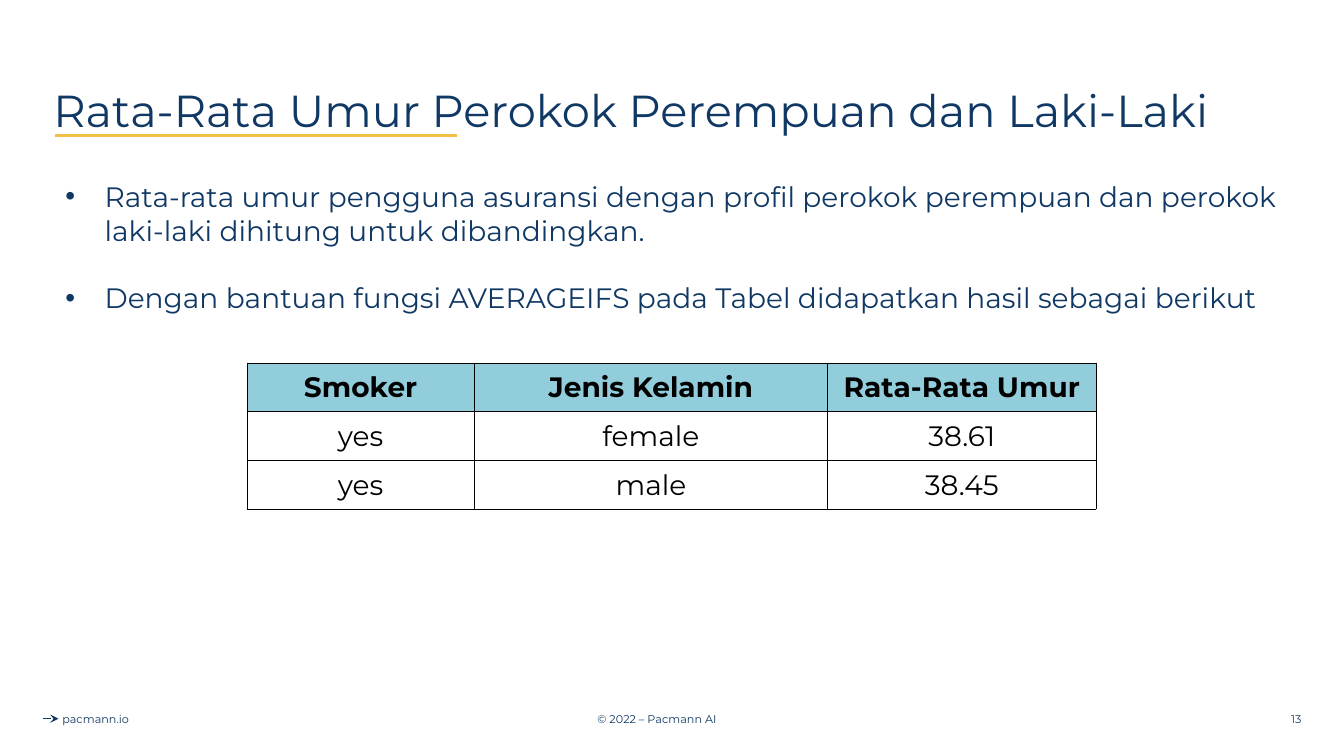
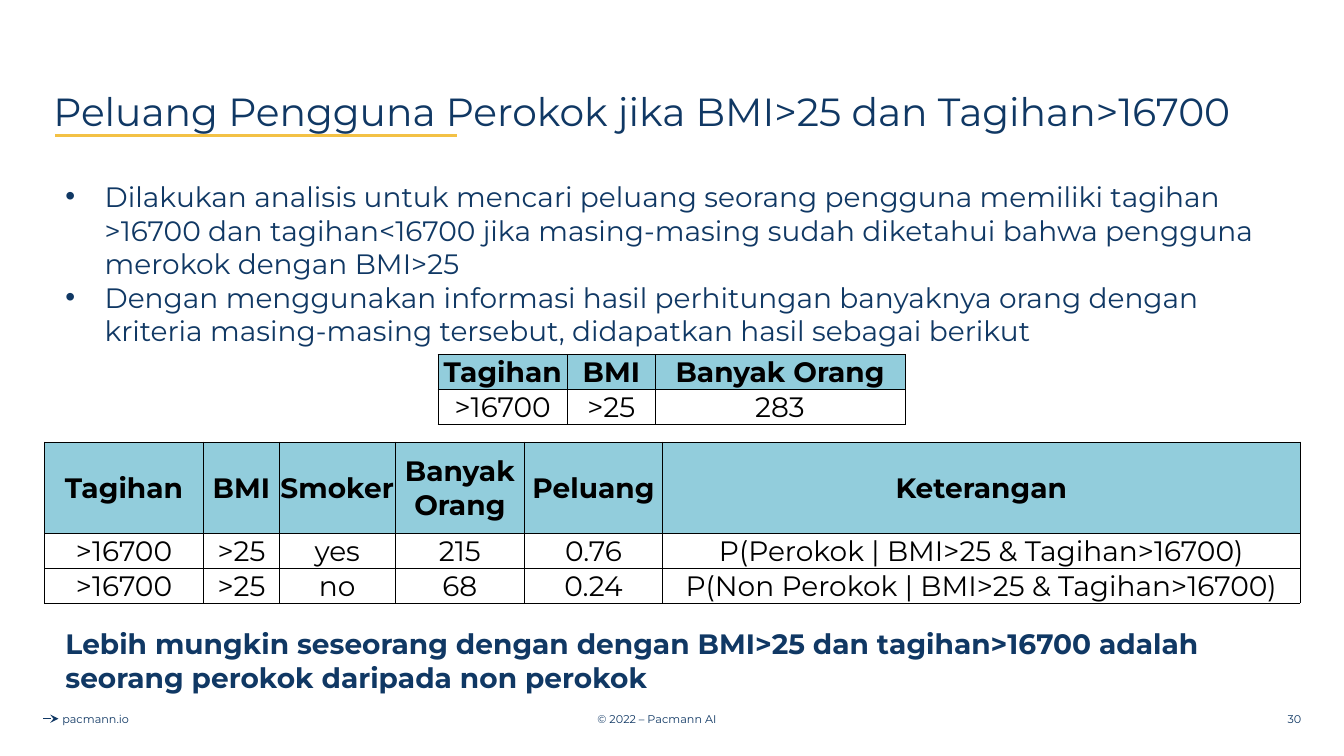
from dataclasses import dataclass

from lxml.etree import SubElement
from pptx import Presentation
from pptx.dml.color import RGBColor
from pptx.enum.shapes import MSO_CONNECTOR as Connector
from pptx.enum.text import MSO_ANCHOR as Anchor, MSO_AUTO_SIZE as AutoSize, PP_ALIGN as Align
from pptx.oxml import parse_xml
from pptx.oxml.ns import nsdecls, qn
from pptx.slide import Slide
from pptx.text.text import TextFrame
from pptx.util import Pt

# Shared style
NAVY = RGBColor(0x10, 0x38, 0x64)
GOLD = RGBColor(0xF3, 0xC1, 0x45)
TEAL = RGBColor(0x92, 0xCD, 0xDC)
BLACK = RGBColor(0x00, 0x00, 0x00)
FONT = "Montserrat"
BODY_SIZE = 20
FOOTER_SIZE = 8
LEFT, WIDTH = 31.7, 897
BODY_TOP = 124.6
CELL_MARGIN = 0.72
TITLE_ONLY = 5


@dataclass(frozen=True)
class Box:
    left: float
    top: float
    width: float
    height: float

    def lengths(self) -> tuple[Pt, Pt, Pt, Pt]:
        return Pt(self.left), Pt(self.top), Pt(self.width), Pt(self.height)


@dataclass(frozen=True)
class Grid:
    left: float
    top: float
    columns: tuple[float, ...]
    row_heights: tuple[float, ...]
    rows: tuple[tuple[str, ...], ...]


@dataclass(frozen=True)
class Page:
    number: int
    title: str
    title_size: int
    bullets: tuple[str, ...]
    bullet_gap: float
    body_height: float
    grids: tuple[Grid, ...]
    conclusion: str = ""


TITLE_BOX = Box(31, 28.8, 898, 104.4)
CONCLUSION_BOX = Box(LEFT, 444.2, WIDTH, 55.4)
SITE_BOX = Box(21.4, 499, 94, 28.8)
COPYRIGHT_BOX = Box(307.4, 499, 324, 28.8)
NUMBER_BOX = Box(720.7, 499, 216, 28.8)

PAGES = (
    Page(
        number=13,
        title="Rata-Rata Umur Perokok Perempuan dan Laki-Laki",
        title_size=32,
        bullets=(
            "Rata-rata umur pengguna asuransi dengan profil perokok perempuan dan perokok "
            "laki-laki dihitung untuk dibandingkan.",
            "Dengan bantuan fungsi AVERAGEIFS pada Tabel didapatkan hasil sebagai berikut",
        ),
        bullet_gap=24.4,
        body_height=104.4,
        grids=(
            Grid(176.6, 259.2, (162, 252.7, 191.5), (34.8,) * 3, (
                ("Smoker", "Jenis Kelamin", "Rata-Rata Umur"),
                ("yes", "female", "38.61"),
                ("yes", "male", "38.45"),
            )),
        ),
    ),
    Page(
        number=30,
        title="Peluang Pengguna Perokok jika BMI>25 dan Tagihan>16700",
        title_size=28,
        bullets=(
            "Dilakukan analisis untuk mencari peluang seorang pengguna memiliki tagihan "
            ">16700 dan tagihan<16700 jika masing-masing sudah diketahui bahwa pengguna "
            "merokok dengan BMI>25",
            "Dengan menggunakan informasi hasil perhitungan banyaknya orang dengan "
            "kriteria masing-masing tersebut, didapatkan hasil sebagai berikut",
        ),
        bullet_gap=0,
        body_height=128.2,
        grids=(
            Grid(312.8, 253.2, (92.6, 62.6, 178.4), (25,) * 2, (
                ("Tagihan", "BMI", "Banyak Orang"),
                (">16700", ">25", "283"),
            )),
            Grid(LEFT, 315.7, (113.8, 54, 82.8, 92.4, 98.6, 455.4), (65.2, 25, 25), (
                ("Tagihan", "BMI", "Smoker", "Banyak Orang", "Peluang", "Keterangan"),
                (">16700", ">25", "yes", "215", "0.76",
                 "P(Perokok | BMI>25 & Tagihan>16700)"),
                (">16700", ">25", "no", "68", "0.24",
                 "P(Non Perokok | BMI>25 & Tagihan>16700)"),
            )),
        ),
        conclusion="Lebih mungkin seseorang dengan dengan BMI>25 dan tagihan>16700 adalah "
                   "seorang perokok daripada non perokok",
    ),
)


def style_runs(frame: TextFrame, size: float, color: RGBColor = NAVY, bold: bool = False) -> None:
    for paragraph in frame.paragraphs:
        for run in paragraph.runs:
            run.font.name = FONT
            run.font.size = Pt(size)
            run.font.bold = bold
            run.font.color.rgb = color


def add_text(slide: Slide, box: Box, text: str) -> TextFrame:
    frame = slide.shapes.add_textbox(*box.lengths()).text_frame
    frame.word_wrap = True
    frame.text = text
    return frame


def add_rule(slide: Slide, start: float, end: float, y: float, color: RGBColor,
             weight: float, arrow: bool = False) -> None:
    rule = slide.shapes.add_connector(Connector.STRAIGHT, Pt(start), Pt(y), Pt(end), Pt(y))
    rule.line.color.rgb = color
    rule.line.width = Pt(weight)
    properties = rule._element.spPr
    if arrow:
        SubElement(properties.find(qn("a:ln")), qn("a:tailEnd"), type="stealth")
    SubElement(properties, qn("a:effectLst"))


def add_footer(slide: Slide, number: int) -> None:
    add_rule(slide, 31, 41.8, 513.4, NAVY, 0.75, arrow=True)
    for box, text, align in (
        (COPYRIGHT_BOX, "© 2022 – Pacmann AI", Align.CENTER),
        (SITE_BOX, "pacmann.io", Align.CENTER),
        (NUMBER_BOX, str(number), Align.RIGHT),
    ):
        frame = add_text(slide, box, text)
        frame.vertical_anchor = Anchor.MIDDLE
        frame.paragraphs[0].alignment = align
        style_runs(frame, FOOTER_SIZE)


def set_title(slide: Slide, text: str, size: int) -> None:
    title = slide.shapes.title
    title.left, title.top, title.width, title.height = TITLE_BOX.lengths()
    frame = title.text_frame
    frame.text = text
    frame.word_wrap = True
    frame.auto_size = AutoSize.NONE
    frame.vertical_anchor = Anchor.MIDDLE
    frame.paragraphs[0].alignment = Align.LEFT
    frame.paragraphs[0].line_spacing = 0.9
    style_runs(frame, size)


def add_bullets(slide: Slide, page: Page) -> None:
    box = Box(LEFT, BODY_TOP, WIDTH, page.body_height)
    frame = add_text(slide, box, "\n".join(page.bullets))
    frame.auto_size = AutoSize.SHAPE_TO_FIT_TEXT
    for index, paragraph in enumerate(frame.paragraphs):
        properties = paragraph._p.get_or_add_pPr()
        properties.set("marL", str(Pt(36)))
        properties.set("indent", str(Pt(-28)))
        color = SubElement(properties, qn("a:buClr"))
        SubElement(color, qn("a:srgbClr"), val=str(NAVY))
        SubElement(properties, qn("a:buFont"), typeface="Arial")
        SubElement(properties, qn("a:buChar"), char="•")
        if index and page.bullet_gap:
            paragraph.space_before = Pt(page.bullet_gap)
    style_runs(frame, BODY_SIZE)


def add_conclusion(slide: Slide, text: str) -> None:
    frame = add_text(slide, CONCLUSION_BOX, text)
    frame.auto_size = AutoSize.SHAPE_TO_FIT_TEXT
    frame.paragraphs[0]._p.get_or_add_pPr().set("marL", str(Pt(8)))
    style_runs(frame, BODY_SIZE, bold=True)


def add_grid(slide: Slide, grid: Grid) -> None:
    box = Box(grid.left, grid.top, sum(grid.columns), sum(grid.row_heights))
    table = slide.shapes.add_table(len(grid.rows), len(grid.columns), *box.lengths()).table
    table.horz_banding = False
    for column, width in zip(table.columns, grid.columns):
        column.width = Pt(width)
    for row, height in zip(table.rows, grid.row_heights):
        row.height = Pt(height)
    for r, texts in enumerate(grid.rows):
        for c, text in enumerate(texts):
            cell = table.cell(r, c)
            is_header = r == 0
            cell.text_frame.text = text
            cell.text_frame.paragraphs[0].alignment = Align.CENTER
            style_runs(cell.text_frame, BODY_SIZE, BLACK, bold=is_header)
            cell.vertical_anchor = Anchor.MIDDLE
            cell.margin_left = cell.margin_right = cell.margin_top = Pt(CELL_MARGIN)
            cell.margin_bottom = 0
            if is_header:
                cell.fill.solid()
                cell.fill.fore_color.rgb = TEAL
            else:
                cell.fill.background()
            # Borders come before the fill in the cell properties
            properties = cell._tc.get_or_add_tcPr()
            for position, side in enumerate("LRTB"):
                properties.insert(position, parse_xml(
                    f'<a:ln{side} {nsdecls("a")} w="{Pt(0.5)}"><a:solidFill>'
                    f'<a:srgbClr val="{BLACK}"/></a:solidFill></a:ln{side}>'))


def main() -> None:
    deck = Presentation()
    deck.slide_width, deck.slide_height = Pt(960), Pt(540)
    for page in PAGES:
        slide = deck.slides.add_slide(deck.slide_layouts[TITLE_ONLY])
        add_footer(slide, page.number)
        add_rule(slide, 39.6, 326.2, 96.5, GOLD, 2.25)
        set_title(slide, page.title, page.title_size)
        add_bullets(slide, page)
        if page.conclusion:
            add_conclusion(slide, page.conclusion)
        for grid in page.grids:
            add_grid(slide, grid)
    deck.save("out.pptx")


if __name__ == "__main__":
    main()
